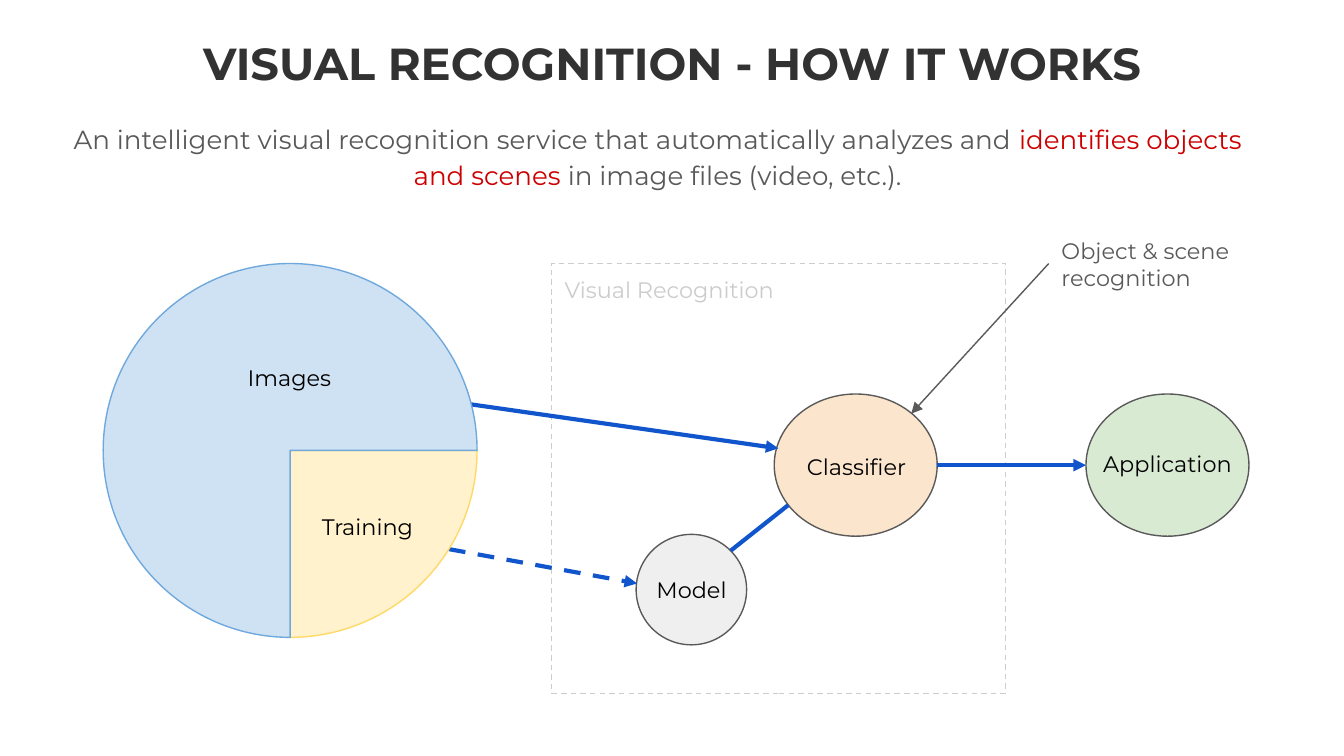
import pptx
import pptx.util
import pptx.dml.color
import pptx.enum.dml
import pptx.enum.shapes
import pptx.enum.text
import pptx.oxml.ns
from lxml import etree

Pt = pptx.util.Pt
RGB = pptx.dml.color.RGBColor
SHAPE = pptx.enum.shapes.MSO_SHAPE
ALIGN = pptx.enum.text.PP_ALIGN
ANCHOR = pptx.enum.text.MSO_ANCHOR
DASH = pptx.enum.dml.MSO_LINE.DASH

FONT = "Montserrat"
BLACK = RGB(0x00, 0x00, 0x00)
INK = RGB(0x32, 0x32, 0x32)
GRAY = RGB(0x59, 0x59, 0x59)
PALE = RGB(0xCC, 0xCC, 0xCC)
RED = RGB(0xCC, 0x00, 0x00)
BLUE = RGB(0x11, 0x55, 0xCC)
MODEL = RGB(0xEF, 0xEF, 0xEF)
CLASSIFIER = RGB(0xFC, 0xE5, 0xCD)
APPLICATION = RGB(0xD9, 0xEA, 0xD3)
TRAINING = RGB(0xFF, 0xF2, 0xCC)
TRAINING_EDGE = RGB(0xFF, 0xD9, 0x66)
IMAGES = RGB(0xCF, 0xE2, 0xF3)
IMAGES_EDGE = RGB(0x6F, 0xA8, 0xDC)

FRAME = (295.4, 141.2, 243.3, 230.4)
PIE = (55.3, 141.2, 200.3, 200.3)
NODES = [
    ((340.8, 286.3, 59.2, 59.2), MODEL),
    ((414.8, 211.1, 87.3, 76.2), CLASSIFIER),
    ((581.8, 211.1, 87.3, 76.2), APPLICATION),
]
ARROWS = [
    ((240.5, 294.2), (341.3, 312.6), BLUE, 2.25, True, True),
    ((252, 216.6), (417, 240.2), BLUE, 2.25, False, True),
    ((391.5, 295), (422.3, 270.6), BLUE, 2.25, False, False),
    ((502.1, 249.2), (581.8, 249.2), BLUE, 2.25, False, True),
    ((561.8, 141.2), (488.2, 221.6), GRAY, 0.75, False, True),
]
SLICES = [(0, 90, TRAINING, TRAINING_EDGE), (90, 0, IMAGES, IMAGES_EDGE)]
LABELS = [
    ("Model", (338.4, 288.7, 64.1, 54), BLACK, ALIGN.CENTER),
    ("Classifier", (412.4, 222.8, 92.9, 54), BLACK, ALIGN.CENTER),
    ("Application", (581.8, 222.8, 87.3, 51.1), BLACK, ALIGN.CENTER),
    ("Training", (156.2, 262.1, 81.4, 40.3), BLACK, ALIGN.CENTER),
    ("Images", (84.2, 187.2, 141.8, 30.2), BLACK, ALIGN.CENTER),
    ("Object & scene recognition", (561.6, 123.8, 113, 35.3), GRAY, ALIGN.LEFT),
    ("Visual Recognition", (295.4, 141.8, 198, 26.6), PALE, ALIGN.LEFT),
]
TITLE = [("VISUAL RECOGNITION - HOW IT WORKS", INK)]
INTRO = [
    ("An intelligent visual recognition service that automatically analyzes and ", GRAY),
    ("identifies objects and scenes", RED),
    (" in image files (video, etc.).", GRAY),
]

prs = pptx.Presentation()
prs.slide_width, prs.slide_height = Pt(720), Pt(405)
s = prs.slides.add_slide(prs.slide_layouts[6])


def add_shape(kind, box, fill, edge):
    sp = s.shapes.add_shape(kind, *map(Pt, box))
    sp.shadow.inherit = False
    if fill is None:
        sp.fill.background()
    else:
        sp.fill.solid()
        sp.fill.fore_color.rgb = fill
    sp.line.color.rgb = edge
    sp.line.width = Pt(0.75)
    return sp


def add_line(start, end, color, width, dashed, arrow):
    c = s.shapes.add_connector(
        pptx.enum.shapes.MSO_CONNECTOR.STRAIGHT, *map(Pt, start + end))
    c.line.color.rgb = color
    c.line.width = Pt(width)
    if dashed:
        c.line.dash_style = DASH.DASH
    qn = pptx.oxml.ns.qn
    if arrow:
        ln = c.line._get_or_add_ln()
        etree.SubElement(ln, qn("a:tailEnd"), type="triangle")
    etree.SubElement(c._element.spPr, qn("a:effectLst"))


def add_text(runs, box, size, align=ALIGN.CENTER, anchor=ANCHOR.MIDDLE, bold=False, spacing=1.0):
    tf = s.shapes.add_textbox(*map(Pt, box)).text_frame
    tf.word_wrap = True
    tf.vertical_anchor = anchor
    tf.margin_left = tf.margin_right = tf.margin_top = tf.margin_bottom = Pt(7.2)
    p = tf.paragraphs[0]
    p.alignment = align
    p.line_spacing = spacing
    for text, color in runs:
        r = p.add_run()
        r.text = text
        r.font.name = FONT
        r.font.size = Pt(size)
        r.font.bold = bold
        r.font.color.rgb = color


add_shape(SHAPE.RECTANGLE, FRAME, None, PALE).line.dash_style = DASH.DASH
for box, fill in NODES:
    add_shape(SHAPE.OVAL, box, fill, GRAY)
for arrow in ARROWS:
    add_line(*arrow)
for start, end, fill, edge in SLICES:
    sp = add_shape(SHAPE.PIE, PIE, fill, edge)
    sp.adjustments[0] = start * 0.6
    sp.adjustments[1] = end * 0.6
for text, box, color, align in LABELS:
    add_text([(text, color)], box, 12, align)
add_text(TITLE, (24.5, 10.8, 671, 45.4), 24, bold=True)
add_text(INTRO, (30.2, 56.2, 644.4, 54), 14, anchor=ANCHOR.TOP, spacing=1.15)

prs.save("out.pptx")
